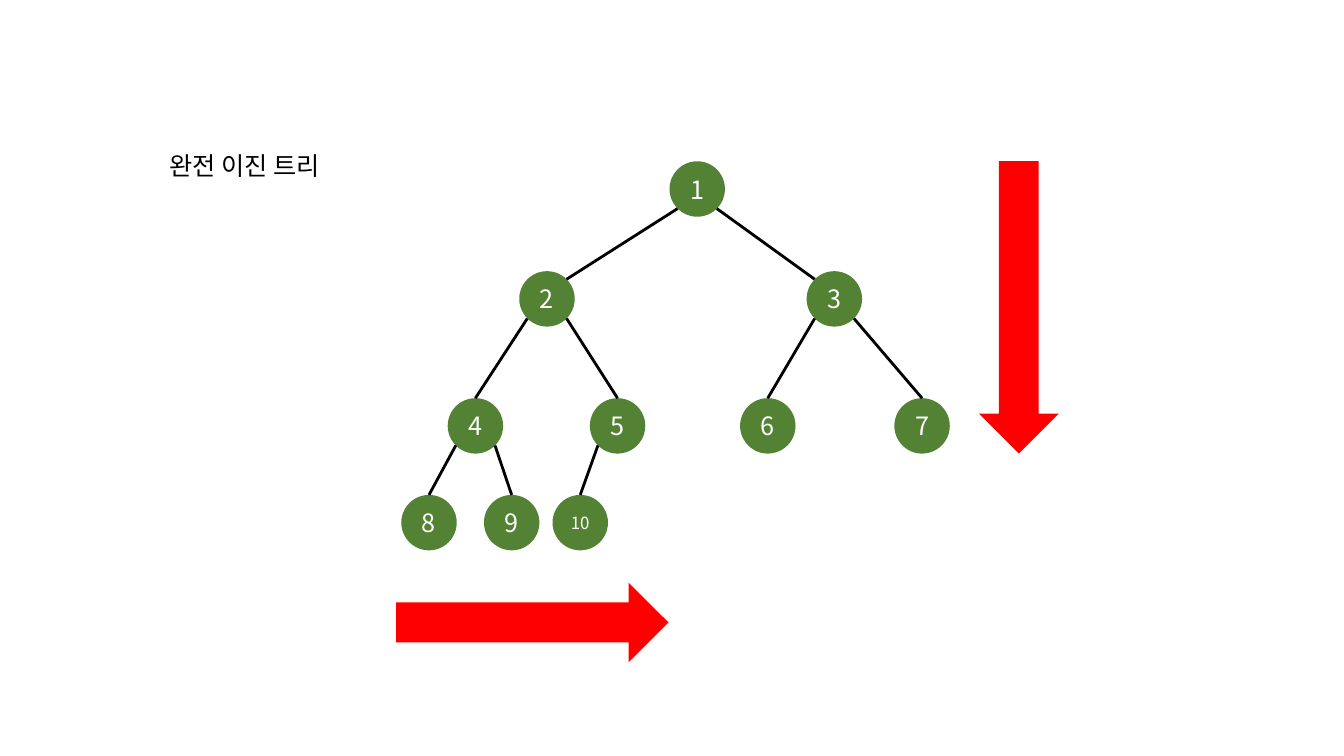
from math import sqrt

from lxml.etree import SubElement
from pptx import Presentation
from pptx.dml.color import RGBColor
from pptx.enum.shapes import MSO_CONNECTOR as Connector, MSO_SHAPE as Shape
from pptx.enum.text import MSO_ANCHOR as Anchor, MSO_AUTO_SIZE as AutoSize, PP_ALIGN as Align
from pptx.oxml.ns import qn
from pptx.util import Inches, Pt

COLORS = {"node": "548235", "label": "FFFFFF", "edge": "000000", "title": "000000", "arrow": "FF0000"}
FONT = "Noto Sans CJK KR"
DIAMETER = 0.55
RADIUS = DIAMETER / 2
DIAGONAL = RADIUS / sqrt(2)
LEVEL_TOPS = [1.6, 2.69, 3.95, 4.91]
NODE_LEFTS = [6.64, 5.15, 8, 4.44, 5.85, 7.34, 8.87, 3.98, 4.8, 5.48]


class TreeSlide:
    def __init__(self, slide):
        self.slide = slide

    def color(self, name):
        return RGBColor.from_string(COLORS[name])

    def set_text(self, frame, text, size, color, align):
        frame.text = text
        paragraph = frame.paragraphs[0]
        paragraph.alignment = align
        run = paragraph.runs[0]
        run.font.name = FONT
        run.font.size = Pt(size)
        run.font.color.rgb = self.color(color)
        SubElement(run.font._element, qn("a:ea"), typeface=FONT)

    def title(self, text, left, top, width, height):
        heading = self.slide.shapes.title
        heading.left, heading.top = Inches(left), Inches(top)
        heading.width, heading.height = Inches(width), Inches(height)
        frame = heading.text_frame
        self.set_text(frame, text, 18, "title", Align.LEFT)
        frame.vertical_anchor = Anchor.TOP
        frame.word_wrap = False
        frame.auto_size = AutoSize.SHAPE_TO_FIT_TEXT

    def shape(self, kind, left, top, width, height, color):
        drawn = self.slide.shapes.add_shape(
            kind, Inches(left), Inches(top), Inches(width), Inches(height))
        drawn.shadow.inherit = False
        drawn.fill.solid()
        drawn.fill.fore_color.rgb = self.color(color)
        drawn.line.fill.background()
        return drawn

    def node(self, number, center):
        x, y = center
        circle = self.shape(Shape.OVAL, x - RADIUS, y - RADIUS, DIAMETER, DIAMETER, "node")
        frame = circle.text_frame
        frame.vertical_anchor = Anchor.MIDDLE
        self.set_text(frame, str(number), 18 if number < 10 else 12, "label", Align.CENTER)

    def edge(self, start, end):
        branch = self.slide.shapes.add_connector(
            Connector.STRAIGHT, *(Inches(value) for value in (*start, *end)))
        branch.line.color.rgb = self.color("edge")
        branch.line.width = Pt(2)
        SubElement(branch._element.spPr, qn("a:effectLst"))


presentation = Presentation()
presentation.slide_width, presentation.slide_height = Inches(13.33), Inches(7.5)
tree = TreeSlide(presentation.slides.add_slide(presentation.slide_layouts[5]))

tree.title("완전 이진 트리", 1.58, 1.44, 1.9, 0.4)

centers = {
    number: (left + RADIUS, LEVEL_TOPS[number.bit_length() - 1] + RADIUS)
    for number, left in enumerate(NODE_LEFTS, 1)
}
for number, center in centers.items():
    tree.node(number, center)

for child in range(2, len(centers) + 1):
    parent_x, parent_y = centers[child // 2]
    child_x, child_y = centers[child]
    side = 1 if child % 2 else -1
    start = (parent_x + side * DIAGONAL, parent_y + DIAGONAL)
    if child // 2 == 1:
        end = (child_x - side * DIAGONAL, child_y - DIAGONAL)
    else:
        end = (child_x, child_y - RADIUS)
    tree.edge(start, end)

tree.shape(Shape.DOWN_ARROW, 9.71, 1.6, 0.79, 2.9, "arrow")
tree.shape(Shape.RIGHT_ARROW, 3.93, 5.78, 2.7, 0.79, "arrow")

presentation.save("out.pptx")
